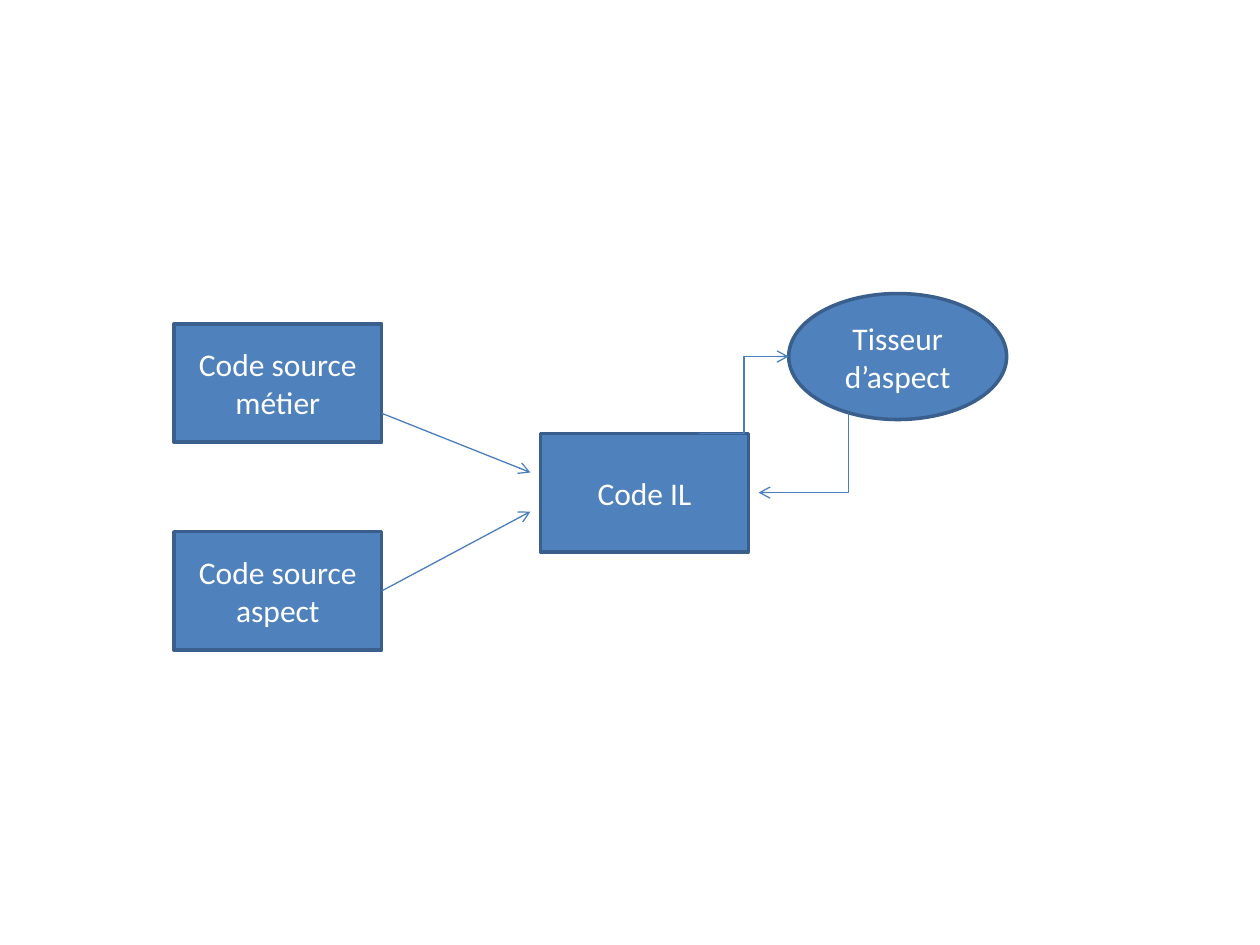
from pptx import Presentation
from pptx.dml.color import RGBColor
from pptx.enum.shapes import MSO_CONNECTOR as Link, MSO_SHAPE as Form
from pptx.enum.text import MSO_ANCHOR as Anchor, PP_ALIGN as Align
from pptx.oxml.ns import qn
from pptx.util import Inches, Pt
from lxml.etree import SubElement
from dataclasses import dataclass


@dataclass(frozen=True)
class Theme:
    fill: RGBColor = RGBColor.from_string("4F81BD")
    outline: RGBColor = RGBColor.from_string("3A5F8C")
    arrow: RGBColor = RGBColor.from_string("4B7EBC")
    text: RGBColor = RGBColor.from_string("FFFFFF")
    font: str = "Calibri"
    text_size: Pt = Pt(18)
    outline_width: Pt = Pt(2)
    arrow_width: Pt = Pt(0.75)


theme = Theme()

# Content: text, form, left, top, width, height
BOX = (1.65, 0.94)
NODES = [
    ("Code source métier", Form.RECTANGLE, 1.38, 2.57, *BOX),
    ("Code source aspect", Form.RECTANGLE, 1.38, 4.22, *BOX),
    ("Code IL", Form.RECTANGLE, 4.29, 3.44, *BOX),
    ("Tisseur d’aspect", Form.OVAL, 6.26, 2.33, 1.73, 1),
]
# Arrows: kind, start, end, bend position (thousandths of a percent)
ARROWS = [
    (Link.STRAIGHT, (3.03, 3.28), (4.21, 3.75), None),
    (Link.STRAIGHT, (3.03, 4.69), (4.21, 4.06), None),
    (Link.ELBOW, (5.55, 3.44), (6.26, 2.83), 50000),
    (Link.ELBOW, (6.73, 3.28), (6.02, 3.91), -1000),
]


def add_node(page, text, form, *place):
    node = page.shapes.add_shape(form, *map(Inches, place))
    node.shadow.inherit = False
    node.fill.solid()
    node.fill.fore_color.rgb = theme.fill
    node.line.color.rgb = theme.outline
    node.line.width = theme.outline_width
    frame = node.text_frame
    frame.text = text
    frame.word_wrap = True
    frame.vertical_anchor = Anchor.MIDDLE
    para = frame.paragraphs[0]
    para.alignment = Align.CENTER
    font = para.runs[0].font
    font.name, font.size = theme.font, theme.text_size
    font.color.rgb = theme.text


def add_arrow(page, kind, start, end, bend):
    arrow = page.shapes.add_connector(kind, *map(Inches, start + end))
    arrow.line.color.rgb = theme.arrow
    arrow.line.width = theme.arrow_width
    properties = arrow._element.spPr
    SubElement(properties.find(qn("a:ln")), qn("a:tailEnd"), type="arrow")
    SubElement(properties, qn("a:effectLst"))
    if bend is not None:
        guides = properties.find(qn("a:prstGeom")).find(qn("a:avLst"))
        SubElement(guides, qn("a:gd"), name="adj1", fmla=f"val {bend}")


# Slide
deck = Presentation()
deck.slide_width, deck.slide_height = Inches(10), Inches(7.5)
page = deck.slides.add_slide(deck.slide_layouts[6])

for node in NODES:
    add_node(page, *node)
for arrow in ARROWS:
    add_arrow(page, *arrow)

deck.save("out.pptx")
